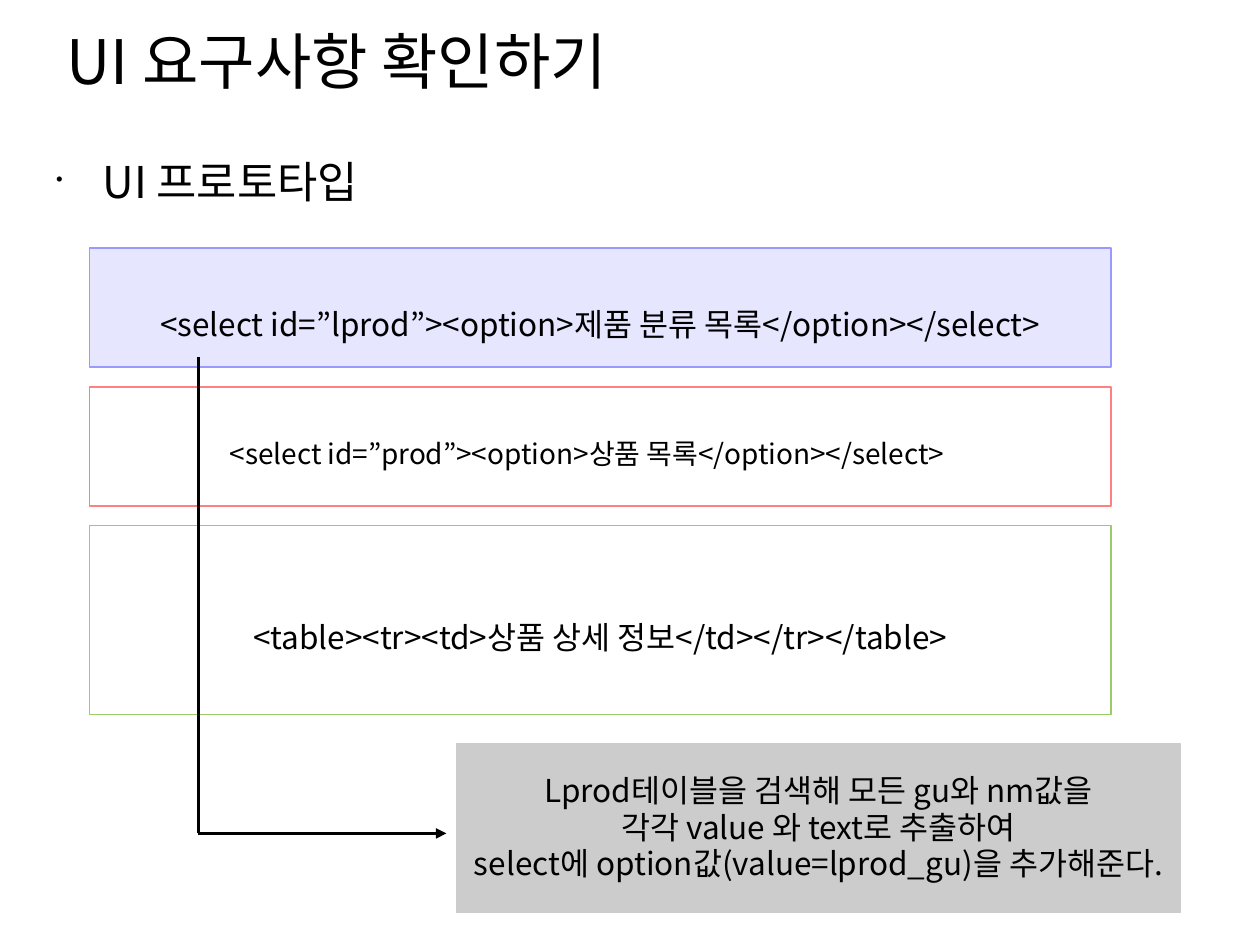
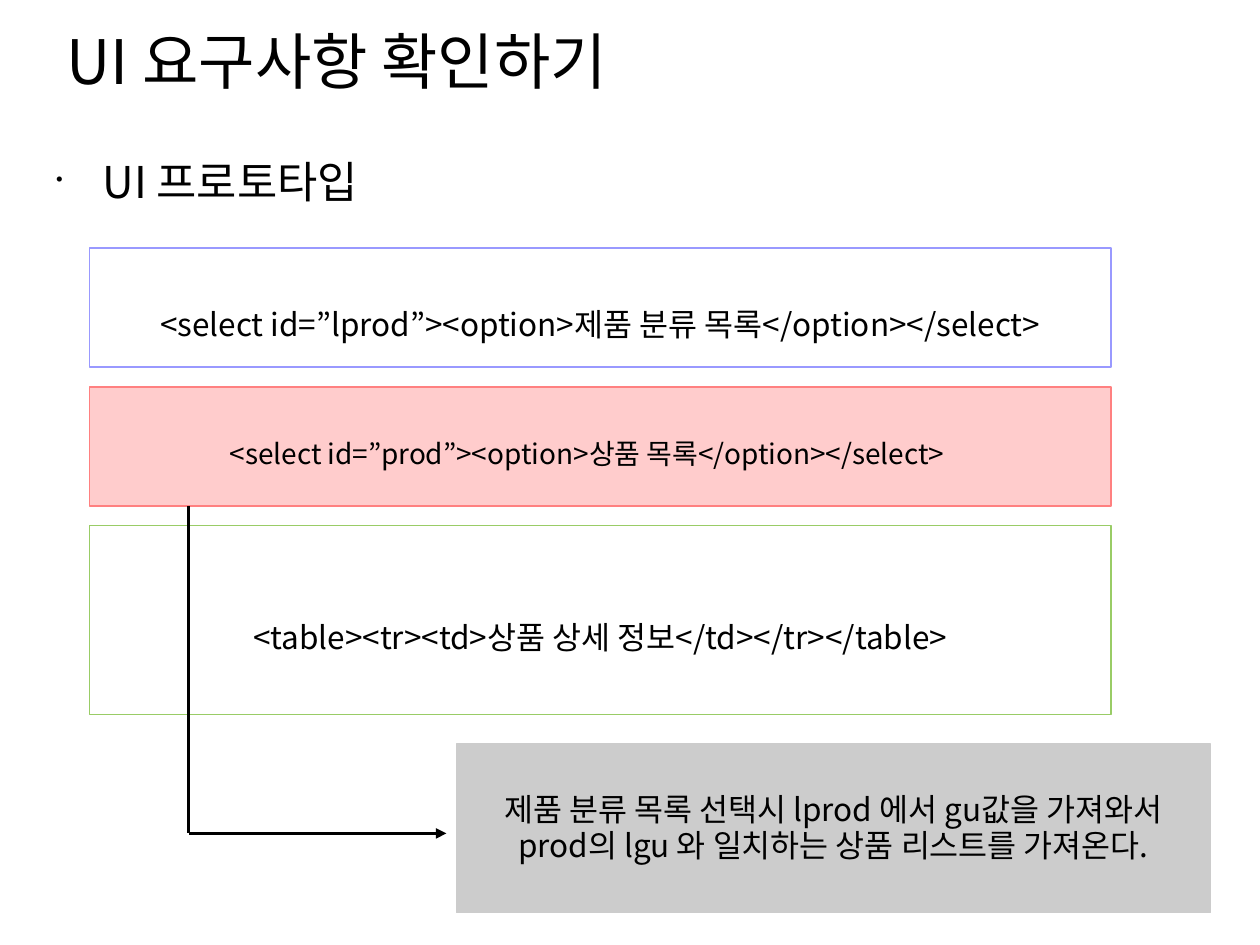
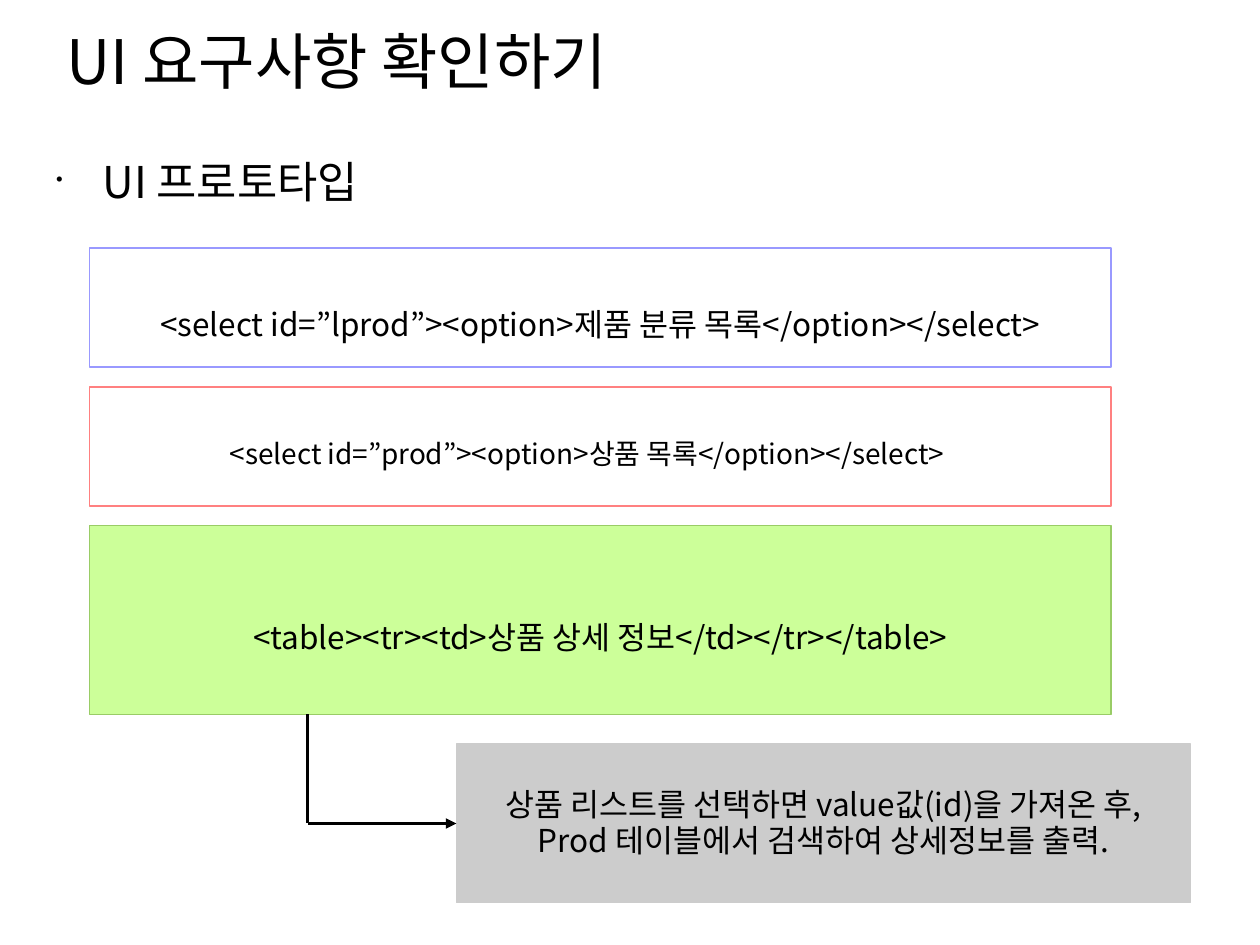
import pptx
import pptx.dml.color
import pptx.enum.shapes
import pptx.enum.text
import pptx.oxml.ns
import pptx.util
from lxml import etree

Cm = pptx.util.Cm
Pt = pptx.util.Pt
qn = pptx.oxml.ns.qn
ALIGN = pptx.enum.text.PP_ALIGN
ANCHOR = pptx.enum.text.MSO_ANCHOR

FONT = "Noto Sans CJK KR"
COLORS = {
    "text": "000000",
    "plain": "FFFFFF",
    "callout": "CCCCCC",
    "category_fill": "E6E6FF",
    "category_line": "9999FF",
    "product_fill": "FFCCCC",
    "product_line": "FF8080",
    "detail_fill": "CCFF99",
    "detail_line": "99CC66",
}
TITLE = "UI 요구사항 확인하기"
SUBTITLE = "UI 프로토타입"
PANEL_LEFT, PANEL_TOP, PANEL_WIDTH, PANEL_GAP = 1.8, 5, 20.6, 0.4
PANELS = [
    ("category", 2.4, "<select id=”lprod”><option>제품 분류 목록</option></select>"),
    ("product", 2.4, "<select id=”prod”><option>상품 목록</option></select>"),
    ("detail", 3.8, "<table><tr><td>상품 상세 정보</td></tr></table>"),
]
CALLOUT_LEFT, CALLOUT_TOP = 9.2, 15
INSET = 0.13
LINE_CM_PER_PT = 0.041

STEPS = [
    {
        "active": "category",
        "note": ["Lprod테이블을 검색해 모든 gu와 nm값을",
                 "각각 value 와 text로 추출하여",
                 "select에 option값(value=lprod_gu)을 추가해준다."],
        "note_size": (14.6, 3.4),
        "arrow": (4, 7.2, 9, 16.8),
    },
    {
        "active": "product",
        "note": ["제품 분류 목록 선택시 lprod 에서 gu값을 가져와서",
                 "prod의 lgu 와 일치하는 상품 리스트를 가져온다."],
        "note_size": (15.2, 3.4),
        "arrow": (3.8, 10.2, 9, 16.8),
    },
    {
        "active": "detail",
        "note": ["상품 리스트를 선택하면 value값(id)을 가져온 후,",
                 "Prod 테이블에서 검색하여 상세정보를 출력."],
        "note_size": (14.8, 3.2),
        "arrow": (6.2, 14.4, 9.2, 16.6),
    },
]


def rgb(name):
    return pptx.dml.color.RGBColor.from_string(COLORS[name])


def write(shape, lines, size, anchor=ANCHOR.TOP, align=ALIGN.LEFT, spacing=None, drop=0, wrap=True):
    frame = shape.text_frame
    frame.text = "\n".join(lines)
    frame.word_wrap = wrap
    frame.vertical_anchor = anchor
    frame.margin_top = Cm(INSET + drop)
    frame.margin_bottom = Cm(INSET)
    for paragraph in frame.paragraphs:
        paragraph.alignment = align
        paragraph.line_spacing = spacing
        for run in paragraph.runs:
            run.font.size = Pt(size)
            run.font.name = FONT
            run.font.color.rgb = rgb("text")
            etree.SubElement(run.font._element, qn("a:ea"), typeface=FONT)


def add_text(slide, left, top, width, height, lines, size, **style):
    box = slide.shapes.add_textbox(Cm(left), Cm(top), Cm(width), Cm(height))
    write(box, lines, size, **style)
    return box


def add_bullet(paragraph):
    properties = paragraph._p.get_or_add_pPr()
    properties.set("marL", str(Cm(0.96)))
    properties.set("indent", str(-Cm(0.94)))
    color = etree.SubElement(properties, qn("a:buClr"))
    etree.SubElement(color, qn("a:srgbClr"), val=COLORS["text"])
    etree.SubElement(properties, qn("a:buSzPct"), val="45000")
    etree.SubElement(properties, qn("a:buChar"), char="•")


def add_box(slide, left, top, width, height, fill, line):
    box = slide.shapes.add_shape(pptx.enum.shapes.MSO_SHAPE.RECTANGLE,
                                 Cm(left), Cm(top), Cm(width), Cm(height))
    box.shadow.inherit = False
    box.fill.solid()
    box.fill.fore_color.rgb = rgb(fill)
    box.line.color.rgb = rgb(line)
    box.line.width = Pt(0)
    return box


def add_line(slide, x1, y1, x2, y2, arrow=False):
    line = slide.shapes.add_connector(pptx.enum.shapes.MSO_CONNECTOR.STRAIGHT,
                                      Cm(x1), Cm(y1), Cm(x2), Cm(y2))
    line.line.color.rgb = rgb("text")
    line.line.width = Pt(0)
    if arrow:
        etree.SubElement(line.line._get_or_add_ln(), qn("a:tailEnd"), type="triangle")
    etree.SubElement(line._element.spPr, qn("a:effectLst"))


def add_heading(slide):
    add_text(slide, 1.09, 0.33, 21.29, 2.21, [TITLE], 35)
    subtitle = add_text(slide, 0.86, 3, 23.55, 15.85, [SUBTITLE], 25)
    add_bullet(subtitle.text_frame.paragraphs[0])


def add_panels(slide, active):
    top = PANEL_TOP
    for part, height, markup in PANELS:
        fill = f"{part}_fill" if part == active else "plain"
        panel = add_box(slide, PANEL_LEFT, top, PANEL_WIDTH, height, fill, f"{part}_line")
        size = 16 if part == "product" else 18
        style = {"align": ALIGN.CENTER, "spacing": 0.96, "drop": size * LINE_CM_PER_PT}
        if part == "product":
            add_text(slide, 4.1, top + 0.4, 15.47, 1.8, [markup], size, wrap=False, **style)
        else:
            write(panel, [markup], size, anchor=ANCHOR.MIDDLE, **style)
        top += height + PANEL_GAP


def add_callout(slide, note, note_size, arrow):
    callout = add_box(slide, CALLOUT_LEFT, CALLOUT_TOP, *note_size, "callout", "callout")
    write(callout, note, 18, anchor=ANCHOR.MIDDLE, align=ALIGN.CENTER, spacing=0.96)
    x, start, end, y = arrow
    add_line(slide, x, start, x, y)
    add_line(slide, x, y, end, y, arrow=True)


def main():
    deck = pptx.Presentation()
    deck.slide_width, deck.slide_height = Cm(25.4), Cm(19.05)
    for step in STEPS:
        slide = deck.slides.add_slide(deck.slide_layouts[6])
        add_heading(slide)
        add_panels(slide, step["active"])
        add_callout(slide, step["note"], step["note_size"], step["arrow"])
    deck.save("out.pptx")


if __name__ == "__main__":
    main()
